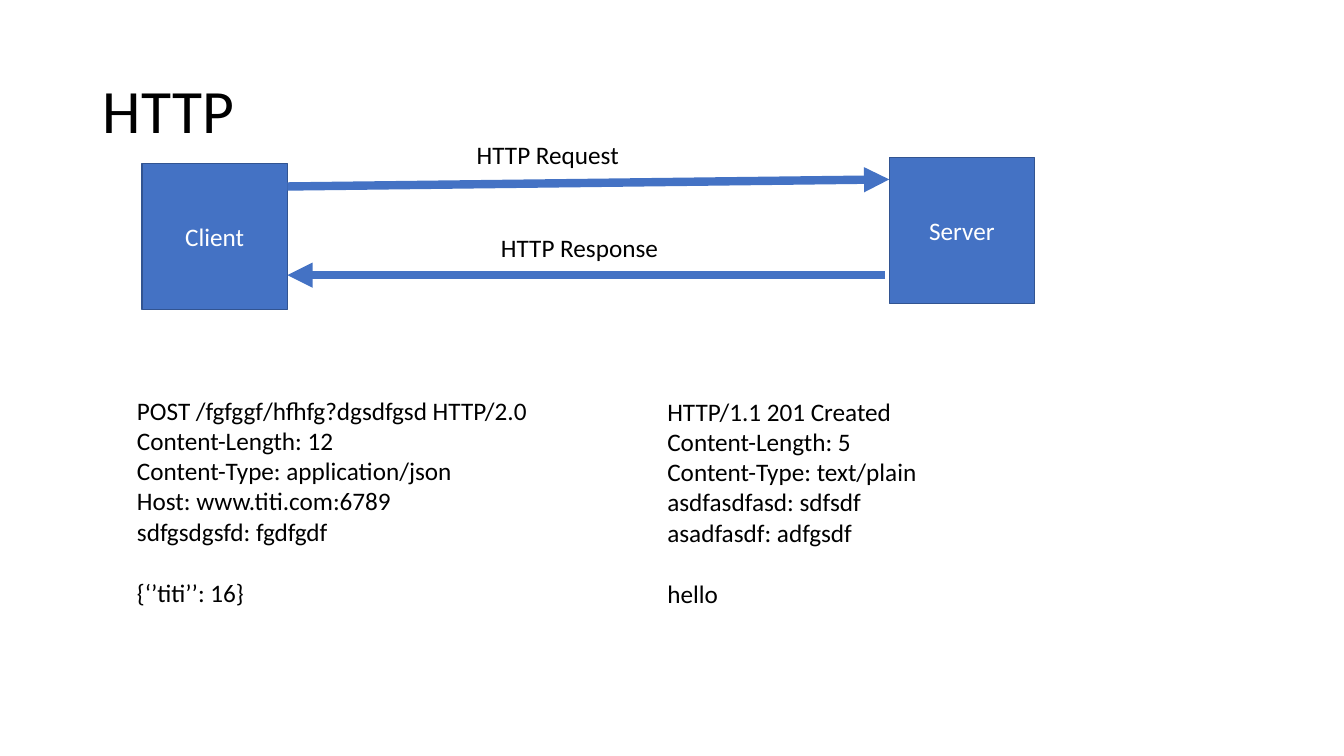
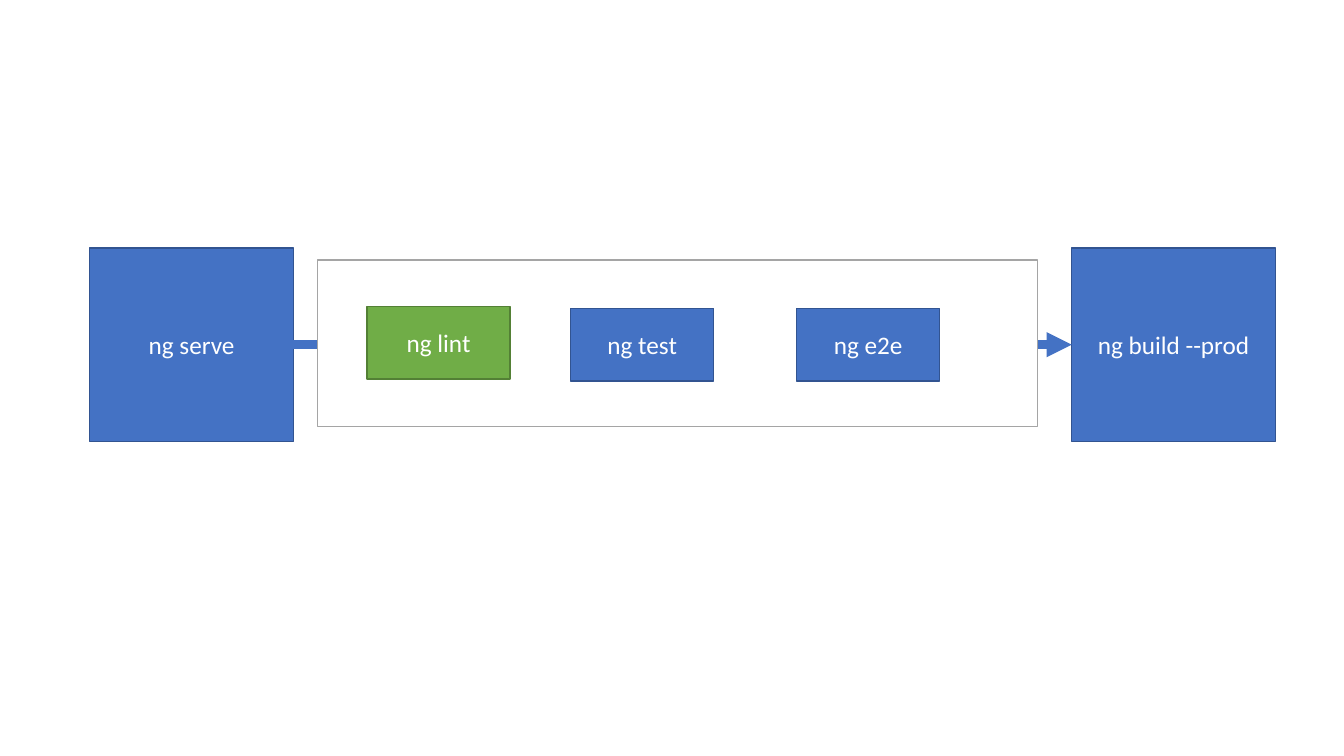
import enum
import pptx
import pptx.util
import pptx.dml.color
import pptx.enum.shapes
import pptx.enum.text
import pptx.oxml
import pptx.oxml.ns

Inches = pptx.util.Inches
Pt = pptx.util.Pt
RGB = pptx.dml.color.RGBColor.from_string
Align = pptx.enum.text.PP_ALIGN
Anchor = pptx.enum.text.MSO_ANCHOR
Fit = pptx.enum.text.MSO_AUTO_SIZE


# Theme: colours and type sizes
class Theme(enum.Enum):
    FONT = "Calibri"
    INK = "000000"
    WHITE = "FFFFFF"
    BLUE = "4472C4"
    NAVY = "325491"
    GREEN = "70AD47"
    FOREST = "538035"
    GRAY = "A5A5A5"
    TITLE = 44
    TEXT = 18
    GAP = 22
    EDGE = 1
    ARROW = 6


def write(slide, text, at, holder=None, fill=None, line=Theme.NAVY,
          size=Theme.TEXT, leading=None, gap=None):
    """Write text into a placeholder, a filled box or a plain text box."""
    place = [Inches(n) for n in at]
    if holder:
        shape = holder
        shape.left, shape.top, shape.width, shape.height = place
    elif fill:
        shape = slide.shapes.add_shape(
            pptx.enum.shapes.MSO_SHAPE.RECTANGLE, *place)
        shape.shadow.inherit = False
        shape.fill.solid()
        shape.fill.fore_color.rgb = RGB(fill.value)
        shape.line.color.rgb = RGB(line.value)
        shape.line.width = Pt(Theme.EDGE.value)
    else:
        shape = slide.shapes.add_textbox(*place)
    frame = shape.text_frame
    frame.word_wrap = bool(holder or fill)
    if holder or fill:
        frame.vertical_anchor = Anchor.MIDDLE
    else:
        frame.auto_size = Fit.SHAPE_TO_FIT_TEXT
    if not text:
        return
    frame.text = text
    for para in frame.paragraphs:
        para.alignment = Align.CENTER if fill else Align.LEFT
        para.line_spacing = leading
        font = para.runs[0].font
        font.name = Theme.FONT.value
        font.size = Pt(size.value)
        font.color.rgb = RGB((Theme.WHITE if fill else Theme.INK).value)
    if gap:
        frame.paragraphs[-1].space_before = Pt(gap.value)


def arrow(slide, start, end):
    """Draw a thick arrow from start to end."""
    link = slide.shapes.add_connector(
        pptx.enum.shapes.MSO_CONNECTOR.STRAIGHT,
        *[Inches(n) for n in start + end])
    link.line.color.rgb = RGB(Theme.BLUE.value)
    link.line.width = Pt(Theme.ARROW.value)
    props = link.line._get_or_add_ln()
    tip = pptx.oxml.parse_xml(
        "<a:tailEnd %s type='triangle'/>" % pptx.oxml.ns.nsdecls("a"))
    props.append(tip)
    props.addnext(pptx.oxml.parse_xml(
        "<a:effectLst %s/>" % pptx.oxml.ns.nsdecls("a")))


deck = pptx.Presentation()
deck.slide_width = Inches(13.33)
deck.slide_height = Inches(7.5)

# Slide 1: HTTP exchange
http = deck.slides.add_slide(deck.slide_layouts[5])
write(http, "HTTP", (0.92, 0.4, 11.5, 1.45), holder=http.shapes.title,
      size=Theme.TITLE, leading=0.9)

for name, left, top in (("Client", 1.41, 1.62), ("Server", 8.82, 1.56)):
    write(http, name, (left, top, 1.44, 1.45), fill=Theme.BLUE)

arrow(http, (2.85, 1.85), (8.82, 1.78))
arrow(http, (8.78, 2.73), (2.85, 2.73))
write(http, "HTTP Request", (4.63, 1.33, 1.63, 0.4))
write(http, "HTTP Response", (4.87, 2.26, 1.78, 0.4))

# Messages: header lines, then the body after a gap
query = [
    "POST /fgfggf/hfhfg?dgsdfgsd HTTP/2.0",
    "Content-Length: 12",
    "Content-Type: application/json",
    "Host: www.titi.com:6789",
    "sdfgsdgsfd: fgdfgdf",
    "{‘’titi’’: 16}",
]
reply = [
    "HTTP/1.1 201 Created",
    "Content-Length: 5",
    "Content-Type: text/plain",
    "asdfasdfasd: sdfsdf",
    "asadfasdf: adfgsdf",
    "hello",
]
for lines, at in ((query, (1.26, 3.87, 4.12, 2.22)),
                  (reply, (6.52, 3.88, 2.71, 2.22))):
    write(http, "\n".join(lines), at, gap=Theme.GAP)

# Slide 2: build steps
build = deck.slides.add_slide(deck.slide_layouts[6])
for name, left in (("ng serve", 0.89), ("ng build --prod", 10.63)):
    write(build, name, (left, 2.46, 2.02, 1.92), fill=Theme.BLUE)
arrow(build, (2.91, 3.42), (10.63, 3.42))

# Checks inside a frame that covers the arrow
write(build, "", (3.15, 2.58, 7.14, 1.65), fill=Theme.WHITE, line=Theme.GRAY)
for name, left, top, fill, line in (
        ("ng lint", 3.64, 3.04, Theme.GREEN, Theme.FOREST),
        ("ng test", 5.66, 3.06, Theme.BLUE, Theme.NAVY),
        ("ng e2e", 7.9, 3.06, Theme.BLUE, Theme.NAVY)):
    write(build, name, (left, top, 1.42, 0.72), fill=fill, line=line)

deck.save("out.pptx")
